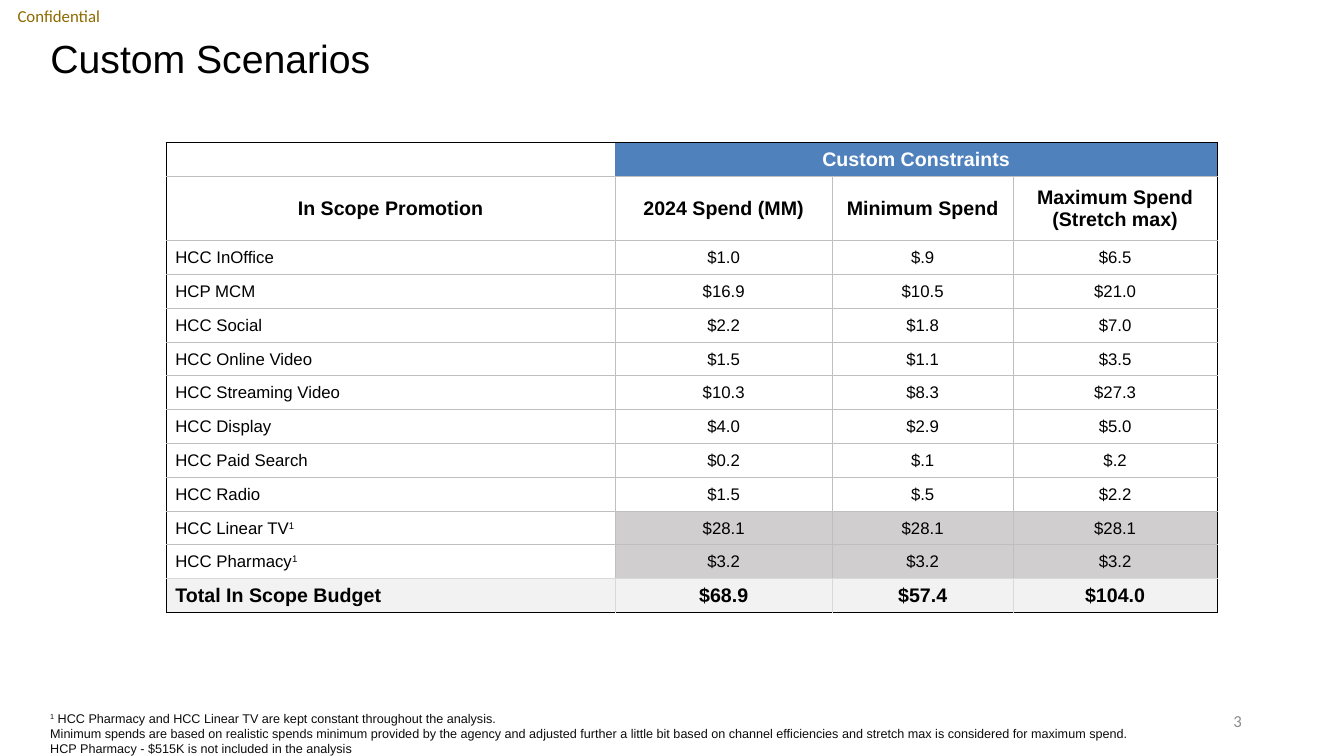
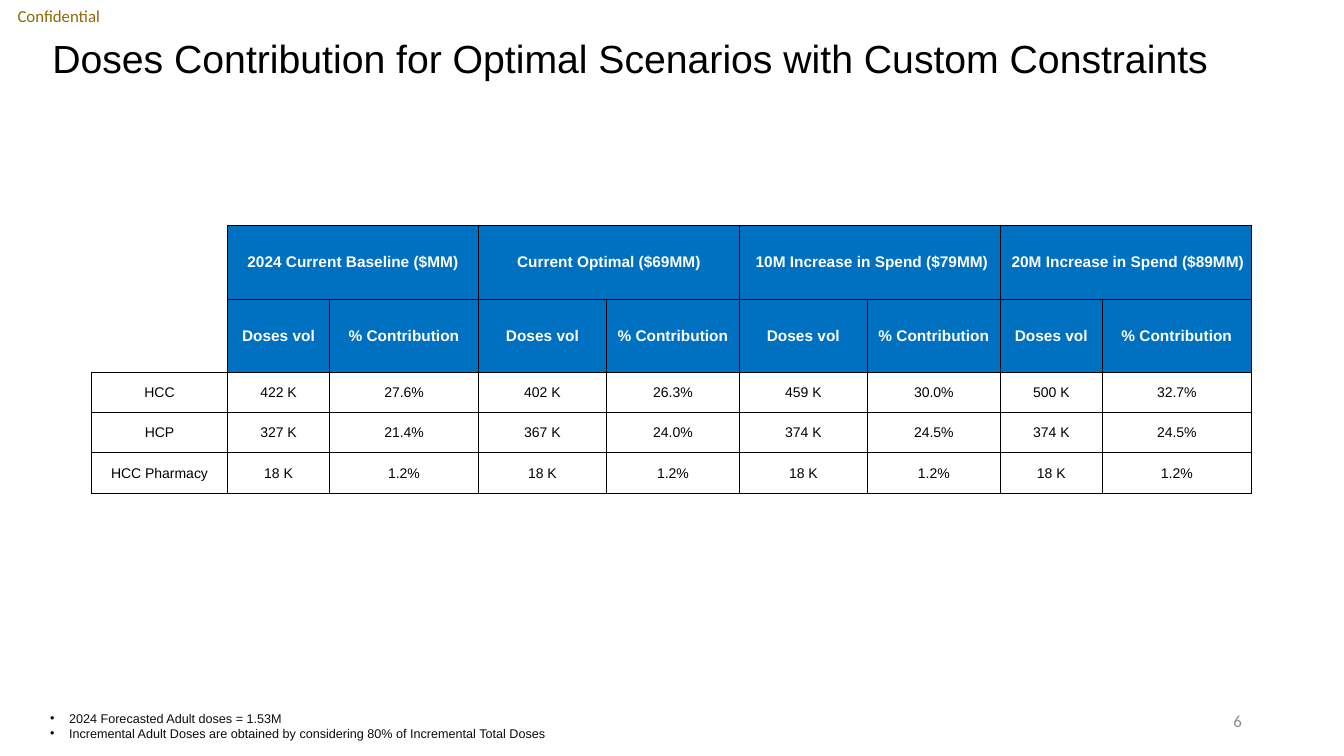
from lxml.etree import SubElement
from pptx import Presentation
from pptx.dml.color import RGBColor
from pptx.enum.text import MSO_ANCHOR, MSO_AUTO_SIZE, PP_ALIGN
from pptx.oxml.ns import qn
from pptx.util import Pt

COLORS = {
    "black": "000000", "white": "FFFFFF", "confidential": "8E6A00",
    "page": "8C8C8C", "note": "0D0D0D", "grid": "BFBFBF", "total grid": "D9D9D9",
    "constraints": "4F81BD", "constant": "D0CECE", "total": "F2F2F2", "scenario": "0070C0",
}
PLAIN_TABLE = "{2D5ABB26-0587-4C30-8999-92F81FD0307C}"

# Content: text between carets is superscript, None continues a merged cell
SPEND_ROWS = [
    ["", "Custom Constraints", None, None],
    ["In Scope Promotion", "2024 Spend (MM)", "Minimum Spend", "Maximum Spend\n(Stretch max)"],
    ["HCC InOffice", "$1.0", "$.9", "$6.5"],
    ["HCP MCM", "$16.9", "$10.5", "$21.0"],
    ["HCC Social", "$2.2", "$1.8", "$7.0"],
    ["HCC Online Video", "$1.5", "$1.1", "$3.5"],
    ["HCC Streaming Video", "$10.3", "$8.3", "$27.3"],
    ["HCC Display", "$4.0", "$2.9", "$5.0"],
    ["HCC Paid Search", "$0.2", "$.1", "$.2"],
    ["HCC Radio", "$1.5", "$.5", "$2.2"],
    ["HCC Linear TV^1^", "$28.1", "$28.1", "$28.1"],
    ["HCC Pharmacy^1^", "$3.2", "$3.2", "$3.2"],
    ["Total In Scope Budget", "$68.9", "$57.4", "$104.0"],
]
SPEND_NOTES = [
    "^1^ HCC Pharmacy and HCC Linear TV are kept constant throughout the analysis.",
    "Minimum spends are based on realistic spends minimum provided by the agency and adjusted "
    "further a little bit based on channel efficiencies and stretch max is considered for "
    "maximum spend.",
    "HCP Pharmacy - $515K is not included in the analysis",
]
DOSES_ROWS = [
    ["", "2024 Current Baseline ($MM)", None, "Current Optimal ($69MM)", None,
     " 10M Increase in Spend ($79MM)", None, " 20M Increase in Spend ($89MM)", None],
    [""] + ["Doses vol", "% Contribution"] * 4,
    ["HCC", "422 K", "27.6%", "402 K", "26.3%", "459 K", "30.0%", "500 K", "32.7%"],
    ["HCP", "327 K", "21.4%", "367 K", "24.0%", "374 K", "24.5%", "374 K", "24.5%"],
    ["HCC Pharmacy"] + ["18 K", "1.2%"] * 4,
]
DOSES_NOTES = [
    "2024 Forecasted Adult doses = 1.53M",
    "Incremental Adult Doses are obtained by considering 80% of Incremental Total Doses",
]
TOTAL_ROW = len(SPEND_ROWS) - 1


# Looks: rules that give each cell its format and its borders
def spend_look(row, column):
    heading = row < 2 or row == TOTAL_ROW
    fill = None
    if row == TOTAL_ROW:
        fill = "total"
    elif column and row == 0:
        fill = "constraints"
    elif column and row >= TOTAL_ROW - 2:
        fill = "constant"
    label = column == 0 and row > 1
    return {"size": 14 if heading else 12, "bold": heading, "fill": fill,
            "color": "white" if row == 0 else "black",
            "align": PP_ALIGN.LEFT if label else PP_ALIGN.CENTER,
            "margin": 6.5 if label else 0.7}


def spend_borders(row, first, last):
    grid = ("total grid" if row == TOTAL_ROW else "grid", 0.5)
    outline = ("black", 1)
    below = ("total grid", 0.5) if row == TOTAL_ROW - 1 else grid
    return {"L": outline if first == 0 else None if row == 0 else grid,
            "R": outline if last == 3 else None if row == 0 else grid,
            "T": outline if row == 0 else grid,
            "B": outline if row == TOTAL_ROW else below}


def doses_look(row, column):
    heading = row < 2
    return {"size": 11 if heading else 10, "bold": heading,
            "fill": "scenario" if heading and column else None,
            "color": "white" if heading else "black",
            "align": PP_ALIGN.CENTER, "margin": 0.7}


def doses_borders(row, first, last):
    line = ("black", 0.5)
    corner = row < 2 and first == 0
    return {"L": None if corner else line, "R": line, "T": None if corner else line,
            "B": None if corner and row == 0 else line}


SLIDES = [
    {"title": "Custom Scenarios", "title left": 28.8, "page": "3",
     "notes": SPEND_NOTES, "bullets": False, "rows": SPEND_ROWS, "at": (118.8, 101.8),
     "widths": [320.5, 155.3, 129, 146], "heights": [24.15, 46] + [24.15] * 11,
     "look": spend_look, "borders": spend_borders},
    {"title": "Doses Contribution for Optimal Scenarios with Custom Constraints",
     "title left": 30.2, "page": "6",
     "notes": DOSES_NOTES, "bullets": True, "rows": DOSES_ROWS, "at": (65.3, 160.7),
     "widths": [97.2] + [72.9, 106.4, 91.4, 95, 91.4, 95, 72.9, 106.4],
     "heights": [52.9, 52.2] + [28.8] * 3,
     "look": doses_look, "borders": doses_borders},
]


# Text helpers
def write(frame, lines, size, color, font="Arial", bold=False, align=PP_ALIGN.LEFT):
    frame.text = "\n".join(line.replace("^", "") for line in lines)
    for para, line in zip(frame.paragraphs, lines):
        para.alignment = align
        if "^" in line:
            para.clear()
            for index, part in enumerate(line.split("^")):
                if part:
                    span = para.add_run()
                    span.text = part
                    if index % 2:
                        span.font._element.set("baseline", "30000")
        for span in para.runs:
            span.font.name = font
            span.font.size = Pt(size)
            span.font.bold = bold
            span.font.color.rgb = RGBColor.from_string(COLORS[color])


def add_text(slide, bounds, lines, size, color, anchor=MSO_ANCHOR.MIDDLE, **style):
    box = slide.shapes.add_textbox(*map(Pt, bounds))
    frame = box.text_frame
    frame.word_wrap = True
    frame.vertical_anchor = anchor
    write(frame, lines, size, color, **style)
    return frame


def add_bullets(frame):
    for para in frame.paragraphs:
        properties = para._p.get_or_add_pPr()
        properties.set("marL", str(Pt(13.5)))
        properties.set("indent", str(-Pt(13.5)))
        SubElement(properties, qn("a:buFont"), typeface="Arial")
        SubElement(properties, qn("a:buChar"), char="•")


# Table helpers
def set_borders(cell, borders):
    properties = cell._tc.get_or_add_tcPr()
    for side, border in borders.items():
        width = border[1] if border else 0
        line = SubElement(properties, qn(f"a:ln{side}"), w=str(Pt(width)))
        if border:
            paint = SubElement(line, qn("a:solidFill"))
            SubElement(paint, qn("a:srgbClr"), val=COLORS[border[0]])
        else:
            SubElement(line, qn("a:noFill"))


def set_cell(cell, text, look, borders):
    cell.margin_left = Pt(look["margin"])
    cell.margin_right = cell.margin_top = Pt(0.7)
    cell.margin_bottom = 0
    cell.vertical_anchor = MSO_ANCHOR.MIDDLE
    if text is None:
        return
    set_borders(cell, borders)
    if look["fill"]:
        cell.fill.solid()
        cell.fill.fore_color.rgb = RGBColor.from_string(COLORS[look["fill"]])
    else:
        cell.fill.background()
    write(cell.text_frame, text.split("\n"), look["size"], look["color"],
          bold=look["bold"], align=look["align"])


def add_grid(slide, content):
    rows, widths, heights = content["rows"], content["widths"], content["heights"]
    bounds = (*content["at"], sum(widths), sum(heights))
    table = slide.shapes.add_table(len(rows), len(widths), *map(Pt, bounds)).table
    table.first_row = table.horz_banding = False
    table._tbl.tblPr.find(qn("a:tableStyleId")).text = PLAIN_TABLE
    for column, width in zip(table.columns, widths):
        column.width = Pt(width)
    for row, height in zip(table.rows, heights):
        row.height = Pt(height)
    for row, texts in enumerate(rows):
        for first, text in enumerate(texts):
            last = first
            while last + 1 < len(texts) and texts[last + 1] is None:
                last += 1
            cell = table.cell(row, first)
            if text is not None and last > first:
                cell.merge(table.cell(row, last))
            set_cell(cell, text, content["look"](row, first),
                     content["borders"](row, first, last))


# Slide frame shared by all slides
def add_page(deck, content):
    slide = deck.slides.add_slide(deck.slide_layouts[5])
    title = slide.shapes.title
    title.left, title.top, title.width, title.height = map(
        Pt, (content["title left"], 28.8, 864, 28.8))
    frame = title.text_frame
    frame.auto_size = MSO_AUTO_SIZE.NONE
    frame.vertical_anchor = MSO_ANCHOR.MIDDLE
    write(frame, [content["title"]], 28, "black")
    frame.paragraphs[0].line_spacing = 0.9

    label = add_text(slide, (0, 0, 84, 23), ["Confidential"], 12, "confidential",
                     font="Calibri", align=PP_ALIGN.CENTER)
    label.margin_left = label.margin_right = label.margin_top = label.margin_bottom = 0
    add_text(slide, (678.2, 500.4, 216, 28.8), [content["page"]], 12, "page",
             font="Calibri", align=PP_ALIGN.RIGHT)
    notes = add_text(slide, (28.8, 504, 864, 28.8), content["notes"], 9, "note",
                     anchor=MSO_ANCHOR.TOP)
    if content["bullets"]:
        add_bullets(notes)
    add_grid(slide, content)


def main():
    deck = Presentation()
    deck.slide_width, deck.slide_height = Pt(960), Pt(540)
    for content in SLIDES:
        add_page(deck, content)
    deck.save("out.pptx")


if __name__ == "__main__":
    main()
